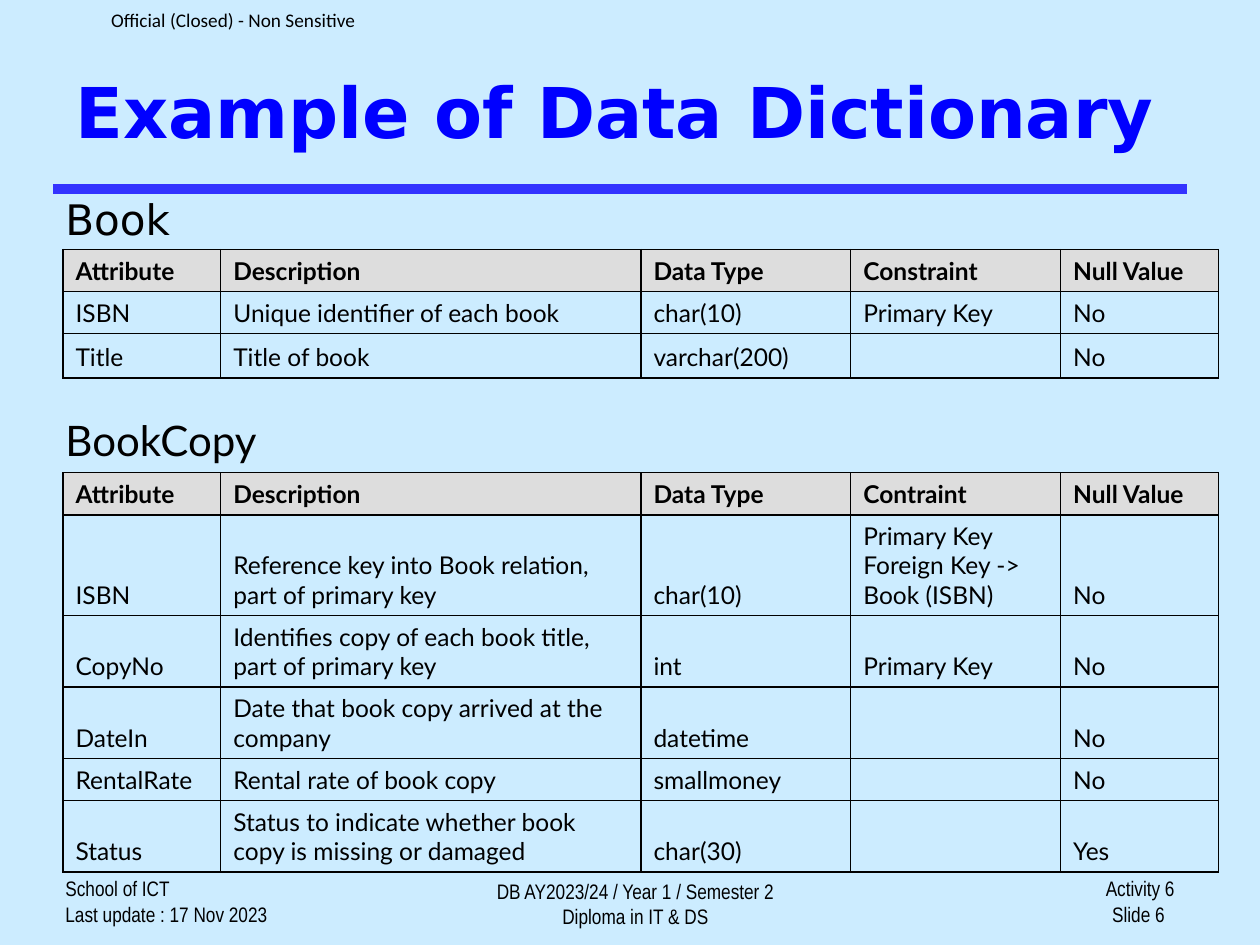
from dataclasses import dataclass

from lxml.etree import SubElement
from pptx import Presentation
from pptx.dml.color import RGBColor
from pptx.enum.shapes import MSO_CONNECTOR
from pptx.enum.text import MSO_ANCHOR, PP_ALIGN
from pptx.oxml.ns import qn
from pptx.util import Cm, Pt


@dataclass(frozen=True)
class Theme:
    background: RGBColor = RGBColor(0xCC, 0xEC, 0xFF)
    title: RGBColor = RGBColor(0x00, 0x00, 0xFF)
    rule: RGBColor = RGBColor(0x33, 0x33, 0xFF)
    text: RGBColor = RGBColor(0x00, 0x00, 0x00)
    header: RGBColor = RGBColor(0xDD, 0xDD, 0xDD)
    title_font: str = "DejaVu Sans"
    body_font: str = "Lato"
    footer_font: str = "Arial Narrow"
    label_font: str = "Calibri"
    title_size: int = 40
    heading_size: int = 24
    table_size: int = 14
    footer_size: int = 12
    label_size: int = 11
    border: int = 1


class SlideBuilder:
    def __init__(self, prs, theme):
        self.theme = theme
        self.s = prs.slides.add_slide(prs.slide_layouts[5])
        fill = self.s.background.fill
        fill.solid()
        fill.fore_color.rgb = theme.background

    def style(self, p, font, size, color=None, bold=False, align=PP_ALIGN.LEFT):
        p.alignment = align
        p.font.name = font
        p.font.size = Pt(size)
        p.font.bold = bold
        p.font.color.rgb = color or self.theme.text

    def place(self, sp, left, top, width, height):
        sp.left, sp.top, sp.width, sp.height = map(Cm, (left, top, width, height))

    def title(self, text, *box):
        sp = self.s.shapes.title
        self.place(sp, *box)
        tf = sp.text_frame
        tf.text = text
        tf.vertical_anchor = MSO_ANCHOR.MIDDLE
        t = self.theme
        self.style(tf.paragraphs[0], t.title_font, t.title_size, t.title, True)

    def text(self, text, box, font, size, align=PP_ALIGN.LEFT, anchor=MSO_ANCHOR.TOP):
        tf = self.s.shapes.add_textbox(*map(Cm, box)).text_frame
        tf.word_wrap = True
        tf.vertical_anchor = anchor
        tf.text = text
        for p in tf.paragraphs:
            self.style(p, font, size, align=align)
        return tf

    def heading(self, text, top, width, font):
        self.text(text, (1.07, top, width, 1.3), font, self.theme.heading_size)

    def footer(self, text, box, align):
        t = self.theme
        return self.text(text, box, t.footer_font, t.footer_size, align, MSO_ANCHOR.BOTTOM)

    def label(self, text, box):
        t = self.theme
        tf = self.text(text, box, t.label_font, t.label_size, anchor=MSO_ANCHOR.MIDDLE)
        tf.margin_left = tf.margin_right = tf.margin_top = tf.margin_bottom = 0

    def line(self, left, right, y, color, width):
        c = self.s.shapes.add_connector(
            MSO_CONNECTOR.STRAIGHT, Cm(left), Cm(y), Cm(right), Cm(y))
        c.line.color.rgb = color
        c.line.width = Pt(width)
        SubElement(c._element.spPr, qn("a:effectLst"))

    def borders(self, cell):
        tcPr = cell._tc.get_or_add_tcPr()
        for side in ("lnL", "lnR", "lnT", "lnB"):
            ln = SubElement(tcPr, qn(f"a:{side}"), w=str(Pt(self.theme.border)))
            fill = SubElement(ln, qn("a:solidFill"))
            SubElement(fill, qn("a:srgbClr"), val=str(self.theme.text))

    def table(self, rows, left, top, widths, heights):
        t = self.theme
        table = self.s.shapes.add_table(
            len(rows), len(widths), Cm(left), Cm(top),
            Cm(sum(widths)), Cm(sum(heights))).table
        table.first_row = table.horz_banding = False
        for column, width in zip(table.columns, widths):
            column.width = Cm(width)
        for i, (row, height) in enumerate(zip(rows, heights)):
            table.rows[i].height = Cm(height)
            for j, text in enumerate(row):
                cell = table.cell(i, j)
                cell.text = text
                cell.vertical_anchor = MSO_ANCHOR.BOTTOM
                self.borders(cell)
                if i == 0:
                    cell.fill.solid()
                    cell.fill.fore_color.rgb = t.header
                else:
                    cell.fill.background()
                for p in cell.text_frame.paragraphs:
                    self.style(p, t.body_font, t.table_size, bold=i == 0)


BOOK = [
    ("Attribute", "Description", "Data Type", "Constraint", "Null Value"),
    ("ISBN", "Unique identifier of each book", "char(10)", "Primary Key", "No"),
    ("Title", "Title of book", "varchar(200)", "", "No"),
]
BOOK_COPY = [
    ("Attribute", "Description", "Data Type", "Contraint", "Null Value"),
    ("ISBN", "Reference key into Book relation, part of primary key", "char(10)",
     "Primary Key\nForeign Key -> Book (ISBN)", "No"),
    ("CopyNo", "Identifies copy of each book title, part of primary key", "int",
     "Primary Key", "No"),
    ("DateIn", "Date that book copy arrived at the company", "datetime", "", "No"),
    ("RentalRate", "Rental rate of book copy", "smallmoney", "", "No"),
    ("Status", "Status to indicate whether book copy is missing or damaged",
     "char(30)", "", "Yes"),
]
WIDTHS = (3.18, 8.47, 4.23, 4.23, 3.18)


def main():
    prs = Presentation()
    prs.slide_width, prs.slide_height = Cm(25.4), Cm(19.05)
    theme = Theme()
    b = SlideBuilder(prs, theme)

    b.line(1.07, 23.93, 3.81, theme.rule, 6)
    b.line(1.27, 23.93, 17.57, theme.text, 1)
    tf = b.footer("Activity 6\nSlide 6", (20.96, 17.6, 2.97, 1.2), PP_ALIGN.RIGHT)
    tf.paragraphs[1]._p.get_or_add_pPr().set("marR", str(Cm(0.2)))
    b.footer("DB AY2023/24 / Year 1 / Semester 2 Diploma in IT & DS",
             (9.32, 17.58, 6.98, 1.27), PP_ALIGN.CENTER)
    b.footer("School of ICT\vLast update : 17 Nov 2023",
             (1.07, 17.53, 5.28, 1.27), PP_ALIGN.LEFT)
    b.label("Official (Closed) - Non Sensitive", (2.24, 0, 5.4, 0.79))

    b.title("Example of Data Dictionary", 1.27, 0.64, 22.66, 3.18)
    b.table(BOOK, 1.27, 5.03, WIDTHS, (0.84, 0.84, 0.89))
    b.table(BOOK_COPY, 1.27, 9.53, WIDTHS, (0.84, 2.02, 1.44, 1.44, 0.84, 1.44))
    b.heading("Book", 3.78, 2.74, theme.title_font)
    b.heading("BookCopy", 8.23, 5.08, theme.body_font)
    prs.save("out.pptx")


if __name__ == "__main__":
    main()
